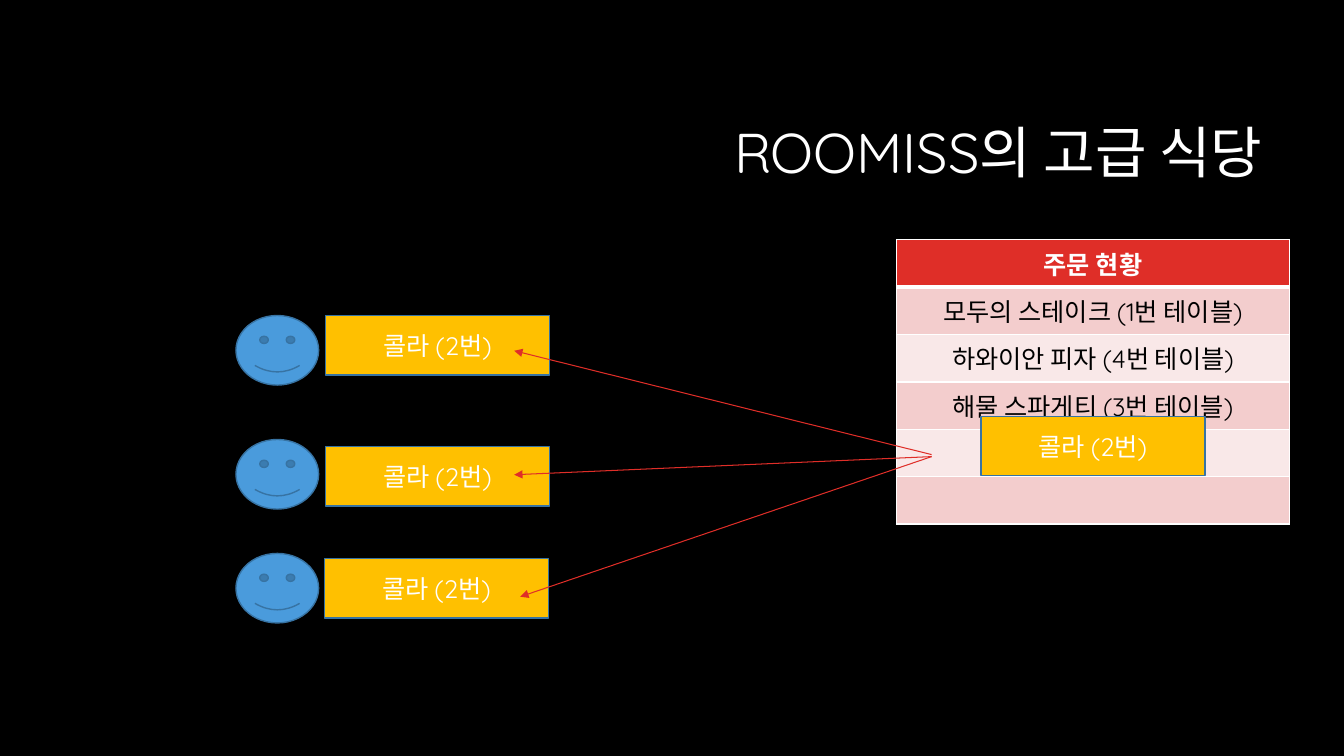
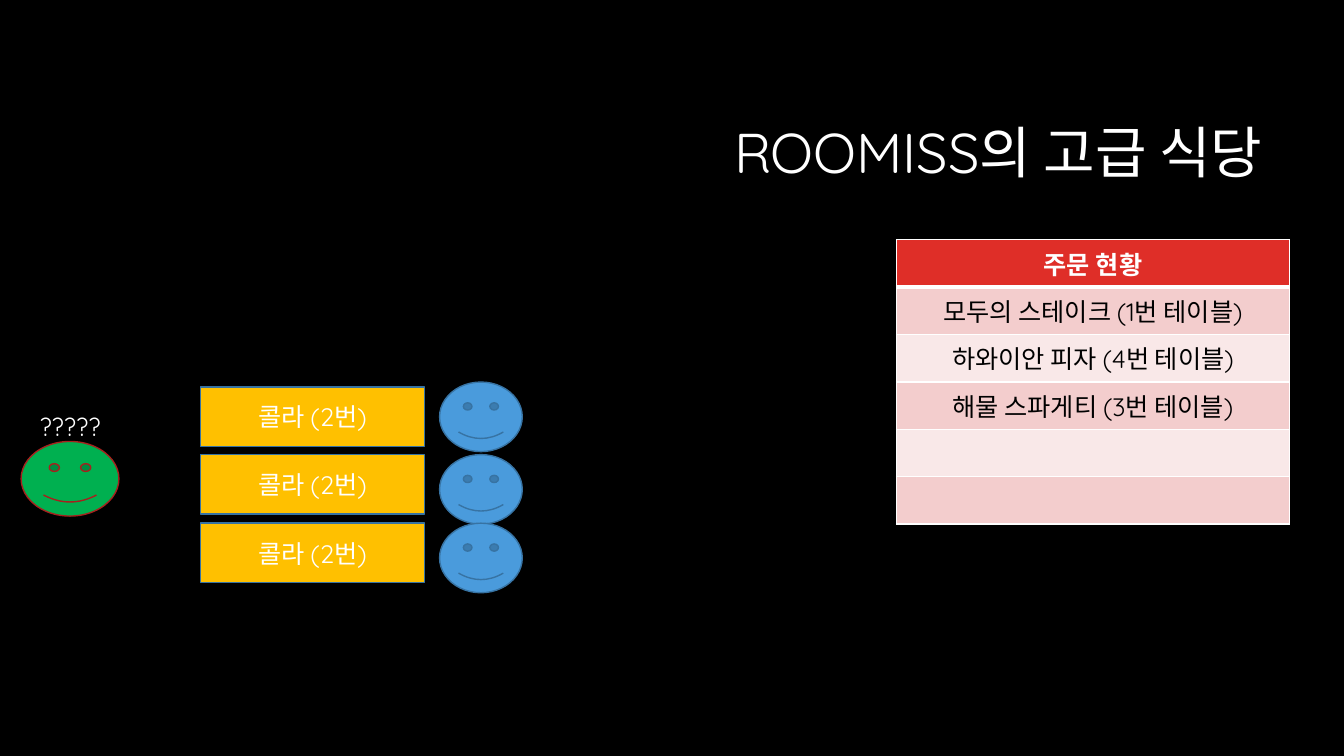
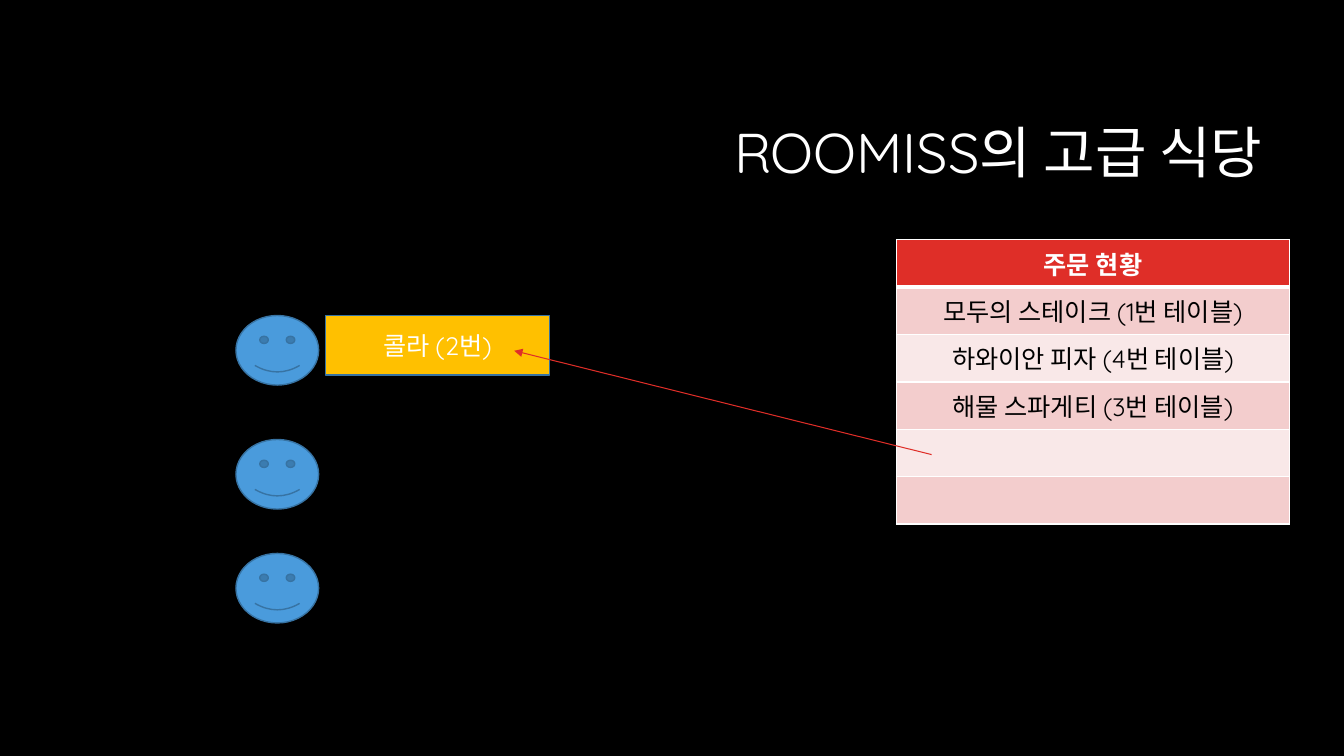
import dataclasses

import lxml.etree
import pptx
import pptx.dml.color
import pptx.enum.shapes
import pptx.enum.text
import pptx.oxml.ns
import pptx.util

Inches = pptx.util.Inches
Pt = pptx.util.Pt
Kind = pptx.enum.shapes.MSO_SHAPE
Align = pptx.enum.text.PP_ALIGN
Anchor = pptx.enum.text.MSO_ANCHOR
qn = pptx.oxml.ns.qn


# Colours and type sizes
@dataclasses.dataclass(frozen=True)
class Theme:
    font: str = "Quicksand"
    head: int = 40
    body: int = 18
    back: str = "000000"
    white: str = "FFFFFF"
    black: str = "000000"
    red: str = "DF2E28"
    dark: str = "A5221E"
    blue: str = "4A9BDC"
    navy: str = "3773A3"
    gold: str = "FFC000"
    green: str = "00B050"
    bands: tuple = ("F3CDCD", "F9E8E8")


THEME = Theme()
TITLE = "ROOMISS의 고급 식당"
COLA = "콜라 (2번)"
ORDERS = ("주문 현황", "모두의 스테이크 (1번 테이블)", "하와이안 피자 (4번 테이블)",
          "해물 스파게티 (3번 테이블)", "", "")

# Places used on more than one slide
FACE = (0.82, 0.69)
BOX = (2.22, 0.59)
STAFF = [(2.34, top) for top in (3.13, 4.36, 5.49)]
FIRST = (3.23, 3.13)
CALL = ((9.24, 4.51), (5.1, 3.48))


def rgb(code):
    return pptx.dml.color.RGBColor.from_string(code)


def apply(item, form):
    for key, value in form.items():
        setattr(item, key, value)


def write(frame, text, color=THEME.white, size=THEME.body, bold=False,
          align=Align.CENTER, **more):
    """Put one formatted line of text in a frame."""
    par = frame.paragraphs[0]
    apply(par, {"alignment": align, **more})
    run = par.add_run()
    run.text = text
    apply(run.font, {"name": THEME.font, "size": Pt(size), "bold": bold})
    run.font.color.rgb = rgb(color)


def add_form(slide, kind, spot, size, fill, line):
    form = slide.shapes.add_shape(kind, *map(Inches, spot + size))
    form.shadow.inherit = False
    form.fill.solid()
    form.fill.fore_color.rgb = rgb(fill)
    form.line.color.rgb = rgb(line)
    form.line.width = Pt(1)
    return form


def add_face(slide, spot, size=FACE, fill=THEME.blue, line=THEME.navy):
    add_form(slide, Kind.SMILEY_FACE, spot, size, fill, line)


def add_cola(slide, spot):
    box = add_form(slide, Kind.RECTANGLE, spot, BOX, THEME.gold, THEME.navy)
    box.text_frame.vertical_anchor = Anchor.MIDDLE
    write(box.text_frame, COLA)


def add_arrow(slide, start, end):
    line = slide.shapes.add_connector(
        pptx.enum.shapes.MSO_CONNECTOR.STRAIGHT, *map(Inches, start + end))
    line.line.color.rgb = rgb(THEME.red)
    line.line.width = Pt(0.75)
    edge = line.line._get_or_add_ln()
    lxml.etree.SubElement(edge, qn("a:tailEnd"), type="triangle")
    lxml.etree.SubElement(line._element.spPr, qn("a:effectLst"))


def add_label(slide, text, spot, size):
    box = slide.shapes.add_textbox(*map(Inches, spot + size))
    apply(box.text_frame, {
        "word_wrap": False,
        "auto_size": pptx.enum.text.MSO_AUTO_SIZE.SHAPE_TO_FIT_TEXT})
    write(box.text_frame, text)


def edge_cell(cell, widths):
    """Draw white borders; widths maps each side to points."""
    props = cell._tc.get_or_add_tcPr()
    for side, width in widths.items():
        edge = lxml.etree.SubElement(props, qn("a:ln" + side), w=str(Pt(width)))
        fill = lxml.etree.SubElement(edge, qn("a:solidFill"))
        lxml.etree.SubElement(fill, qn("a:srgbClr"), val=THEME.white)


def add_orders(slide):
    high = 0.47
    frame = slide.shapes.add_table(
        len(ORDERS), 1, Inches(8.89), Inches(2.38), Inches(3.9),
        Inches(high * len(ORDERS)))
    for num, text in enumerate(ORDERS):
        top = num == 0
        frame.table.rows[num].height = Inches(high)
        cell = frame.table.cell(num, 0)
        edge_cell(cell, {"L": 1, "R": 1, "T": 3 if num == 1 else 1,
                         "B": 3 if top else 1})
        cell.fill.solid()
        cell.fill.fore_color.rgb = rgb(
            THEME.red if top else THEME.bands[(num - 1) % 2])
        if text:
            write(cell.text_frame, text, THEME.white if top else THEME.black,
                  bold=top)


def set_base(deck):
    """Set the size, background and title place for every slide."""
    apply(deck, {"slide_width": Inches(13.33), "slide_height": Inches(7.5)})
    back = deck.slide_master.background.fill
    back.solid()
    back.fore_color.rgb = rgb(THEME.back)
    base = deck.slide_layouts[5]
    apply(base.placeholders[0], {
        "left": Inches(1.77), "top": Inches(0.84),
        "width": Inches(10.85), "height": Inches(1.41)})
    return base


def add_page(deck, base):
    """Start a slide with the shared title and order table."""
    slide = deck.slides.add_slide(base)
    frame = slide.shapes.title.text_frame
    frame.vertical_anchor = Anchor.MIDDLE
    write(frame, TITLE, size=THEME.head, align=Align.RIGHT, line_spacing=0.9)
    add_orders(slide)
    return slide


def main():
    deck = pptx.Presentation()
    base = set_base(deck)

    # All three staff take the same order
    slide = add_page(deck, base)
    for spot in STAFF:
        add_face(slide, spot)
    for spot in ((9.73, 4.13), FIRST, (3.23, 4.43), (3.22, 5.54)):
        add_cola(slide, spot)
    for start, end in (CALL, ((9.24, 4.53), (5.1, 4.71)),
                       ((9.24, 4.53), (5.16, 5.92))):
        add_arrow(slide, start, end)

    # The guest gets three drinks
    slide = add_page(deck, base)
    for top, mid in ((3.79, 3.84), (4.51, 4.51), (5.19, 5.19)):
        add_face(slide, (4.36, top))
        add_cola(slide, (1.99, mid))
    add_face(slide, (0.21, 4.38), (0.97, 0.74), THEME.green, THEME.dark)
    add_label(slide, "?????", (0.22, 4.03), (0.95, 0.4))

    # Only one takes the order
    slide = add_page(deck, base)
    for spot in STAFF:
        add_face(slide, spot)
    add_cola(slide, FIRST)
    add_arrow(slide, *CALL)

    deck.save("out.pptx")


if __name__ == "__main__":
    main()
